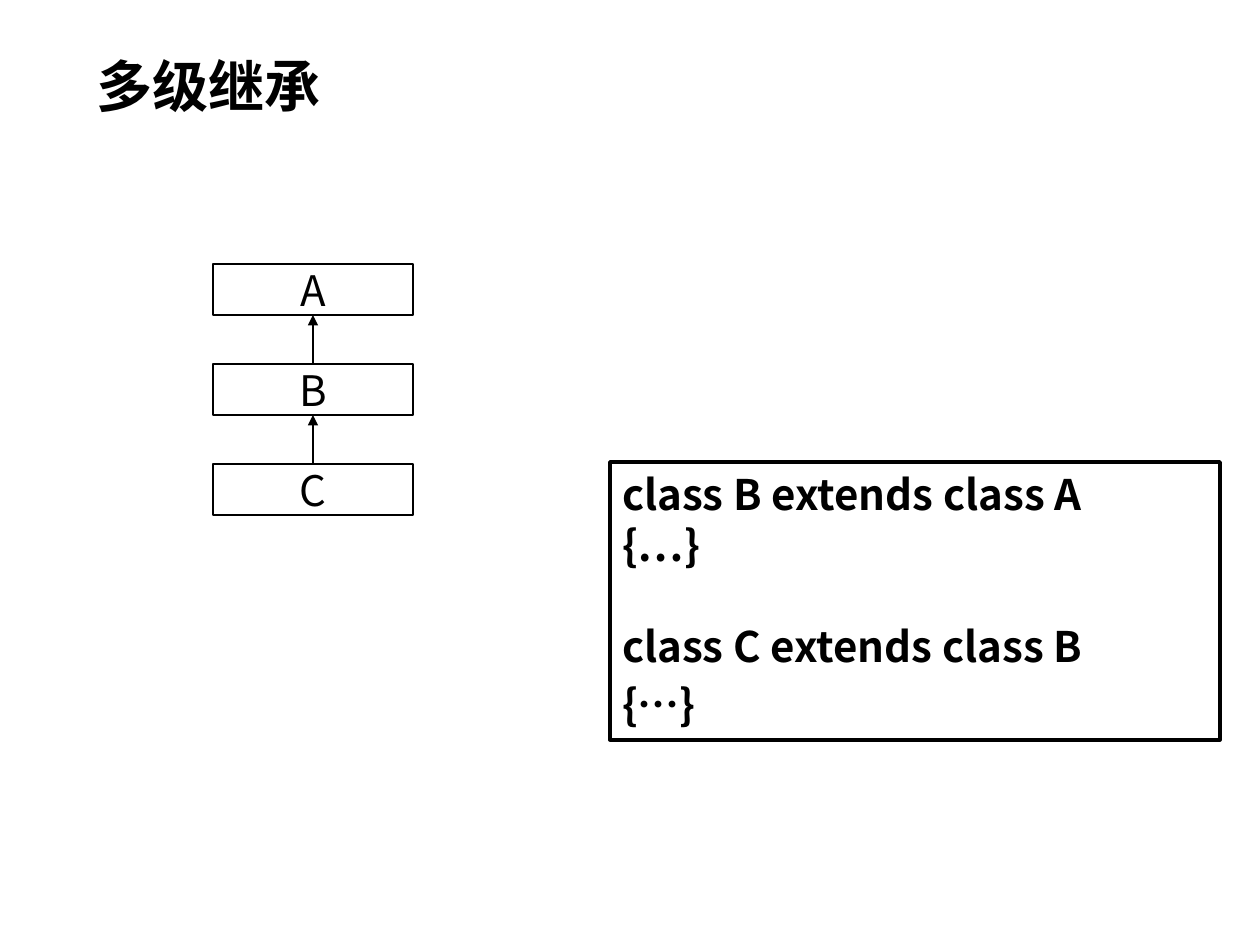
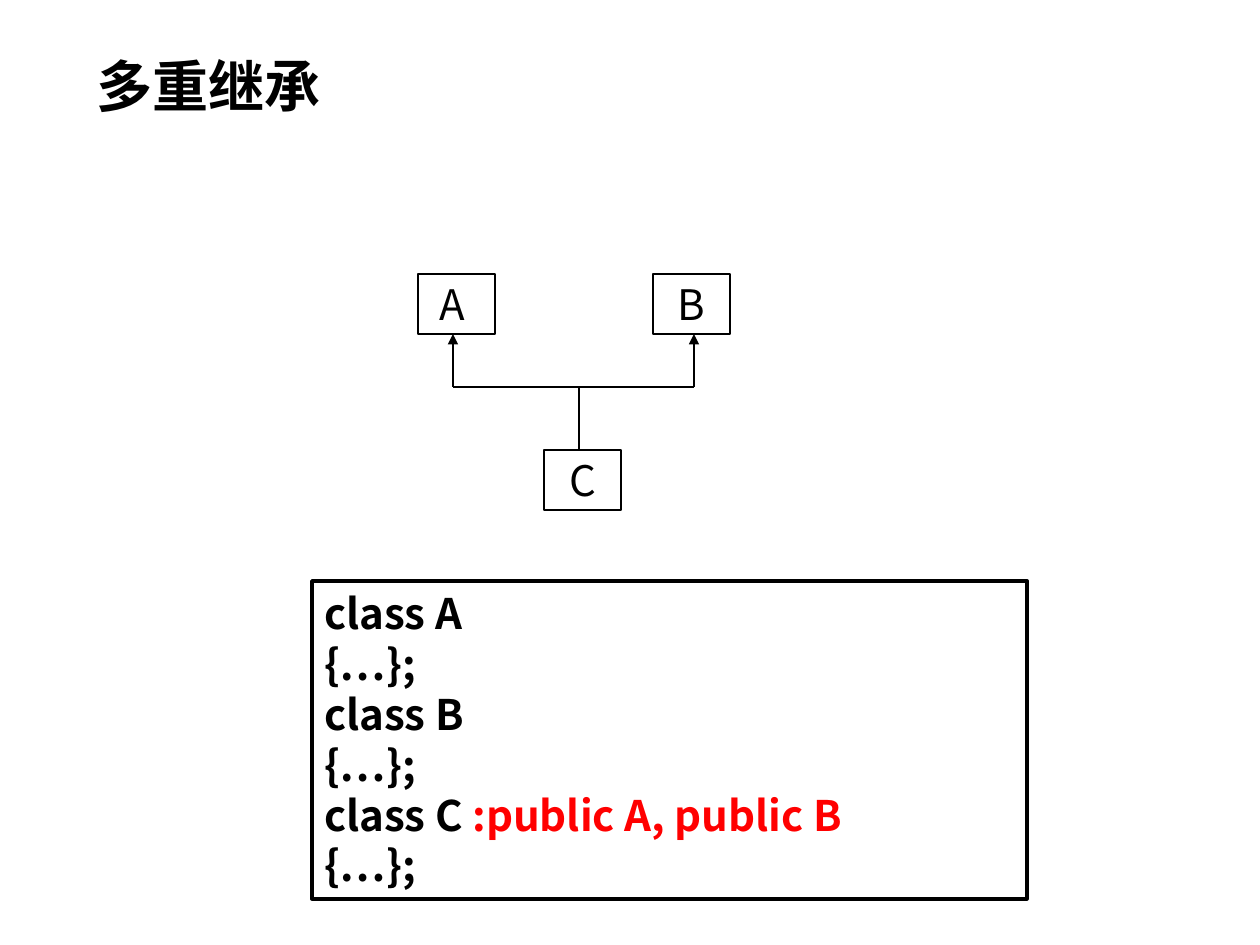
from pptx import Presentation
from pptx.dml.color import RGBColor
from pptx.enum.shapes import MSO_CONNECTOR as Conn, MSO_SHAPE as Kind
from pptx.enum.text import MSO_ANCHOR as Anchor, PP_ALIGN as Align
from pptx.oxml.ns import qn
from pptx.util import Pt
from lxml.etree import SubElement as Sub

SCALE = 914400 / 126
FONT = "Noto Sans CJK SC"
BLACK = RGBColor(0, 0, 0)
WHITE = RGBColor(255, 255, 255)
RED = RGBColor(255, 0, 0)
LEAD = 28.8
TITLE = (84, 26, 1081, 118)


def px(*vals):
    return [round(v * SCALE) for v in vals]


def style(obj, form):
    for name, val in form.items():
        setattr(obj, name, val)


def add_run(para, text, size, bold=False, color=BLACK):
    run = para.add_run()
    run.text = text
    style(run.font, {"name": FONT, "size": Pt(size), "bold": bold})
    run.font.color.rgb = color
    Sub(run.font._element, qn("a:ea"), typeface=FONT)


def add_title(slide, text):
    head = slide.shapes.title
    style(head, dict(zip(("left", "top", "width", "height"), px(*TITLE))))
    frame = head.text_frame
    style(frame, {"vertical_anchor": Anchor.MIDDLE, "word_wrap": True})
    para = frame.paragraphs[0]
    para.alignment = Align.LEFT
    add_run(para, text, 32, True)


def add_rect(slide, box, width, pad, anchor, fill=None):
    rect = slide.shapes.add_shape(Kind.RECTANGLE, *px(*box))
    rect.shadow.inherit = False
    if fill is None:
        rect.fill.background()
    else:
        rect.fill.solid()
        rect.fill.fore_color.rgb = fill
    rect.line.color.rgb = BLACK
    rect.line.width = Pt(width)
    side, edge = px(12, pad)
    style(rect.text_frame, {
        "word_wrap": True, "vertical_anchor": anchor, "margin_left": side,
        "margin_right": side, "margin_top": edge, "margin_bottom": edge})
    return rect


def add_node(slide, box, label):
    rect = add_rect(slide, box, 0.75, 0, Anchor.MIDDLE, WHITE)
    para = rect.text_frame.paragraphs[0]
    style(para, {"alignment": Align.CENTER, "line_spacing": Pt(LEAD)})
    add_run(para, label, 24)
    return rect


def add_link(slide, start, end, arrow=False):
    link = slide.shapes.add_connector(Conn.STRAIGHT, *px(*start, *end))
    link.line.color.rgb = BLACK
    link.line.width = Pt(0.75)
    if arrow:
        Sub(link.line._get_or_add_ln(), qn("a:tailEnd"), type="triangle")
    Sub(link._element.spPr, qn("a:effectLst"))
    return link


def add_code(slide, box, blocks):
    frame = add_rect(slide, box, 2, 7, Anchor.TOP).text_frame
    for i, (gap, parts) in enumerate(blocks):
        para = frame.add_paragraph() if i else frame.paragraphs[0]
        style(para, {"alignment": Align.LEFT, "line_spacing": Pt(LEAD),
                     "space_before": Pt(gap)})
        for text, color in parts:
            for j, line in enumerate(text.split("\n")):
                if j:
                    para.add_line_break()
                if line:
                    add_run(para, line, 24, True, color)


def add_chain(slide, box, labels):
    left, top, width, height = box
    tall, step = 51, (height - 51) // (len(labels) - 1)
    mid, last = left + width // 2, None
    for i, label in enumerate(labels):
        y = top + i * step
        node = add_node(slide, (left, y, width, tall), label)
        if last:
            link = add_link(slide, (mid, y), (mid, y - step + tall), True)
            link.begin_connect(node, 0)
            link.end_connect(last, 2)
        last = node


def add_fork(slide, box):
    left, top, width, height = box
    wide, tall = 77, 60
    bar, low = top + 113, top + height - tall
    first = add_node(slide, (left, top, wide, tall), "A")
    first.text_frame.margin_right = px(20)[0]
    add_node(slide, (left + width - wide, top, wide, tall), "B")
    add_node(slide, (left + 126, low, wide, tall), "C")
    ends = left + 35, left + 276
    stem = left + 161
    add_link(slide, (stem, low), (stem, bar))
    add_link(slide, (ends[0], bar), (ends[1], bar))
    for x in ends:
        add_link(slide, (x, bar), (x, top + tall), True)


def main():
    deck = Presentation()
    deck.slide_width, deck.slide_height = px(1260, 945)
    many, multi = [deck.slides.add_slide(deck.slide_layouts[5]) for _ in "12"]

    add_title(many, "多级继承")
    add_chain(many, (213, 264, 200, 251), "ABC")
    add_code(many, (610, 462, 610, 278), [
        (0, [("class B extends class A\n{…}", BLACK)]),
        (LEAD, [("class C extends class B", BLACK)]),
        (4.8, [("{…}", BLACK)])])

    add_title(multi, "多重继承")
    add_code(multi, (312, 581, 715, 318), [
        (0, [("class A\n{…};\nclass B\n{…};\nclass C ", BLACK),
             (":public A, public B\n", RED), ("{…};", BLACK)])])
    add_fork(multi, (418, 274, 312, 236))
    deck.save("out.pptx")


if __name__ == "__main__":
    main()
